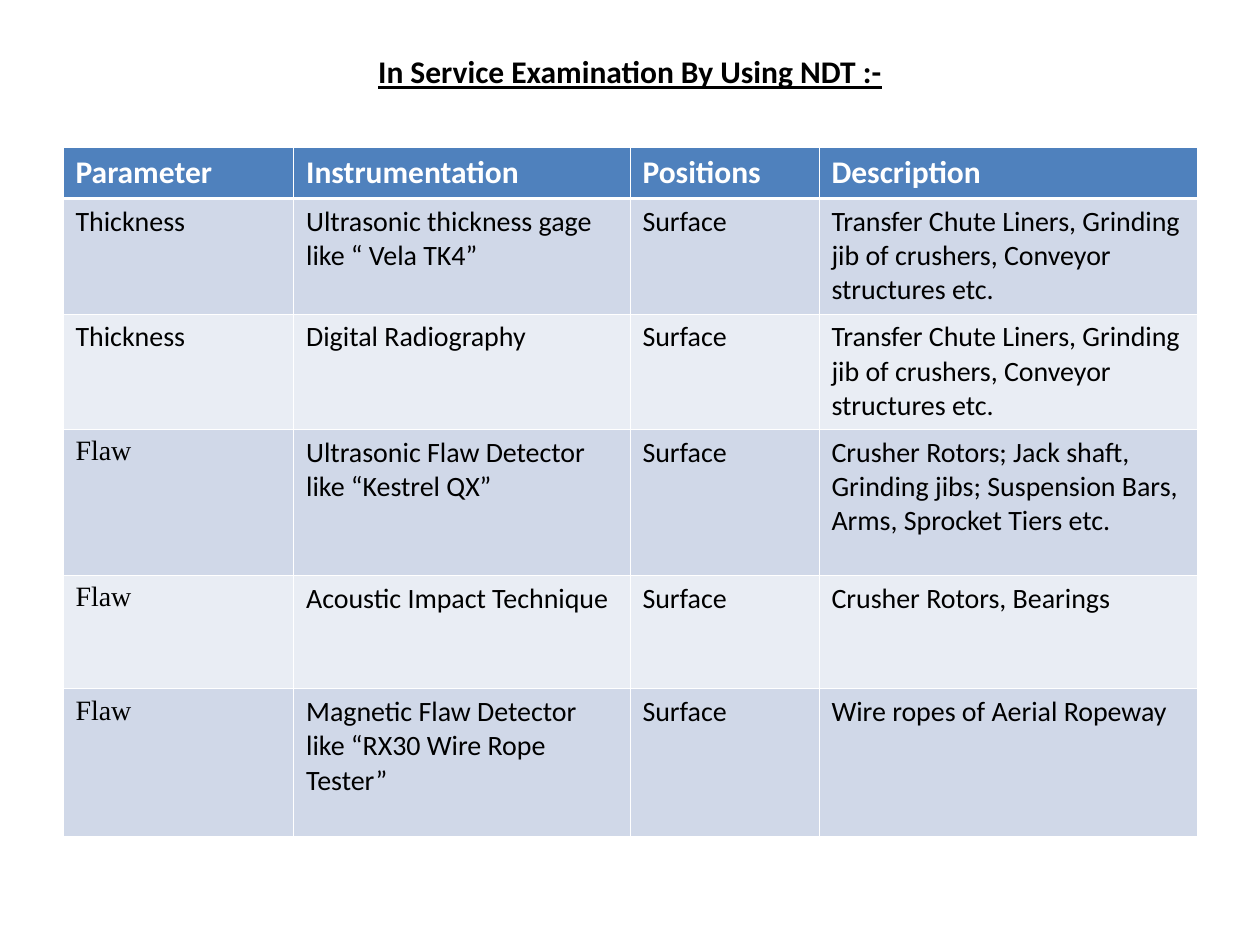
from typing import NamedTuple

from lxml.etree import SubElement
from pptx import Presentation
from pptx.dml.color import RGBColor
from pptx.enum.text import MSO_ANCHOR, PP_ALIGN
from pptx.oxml.ns import qn
from pptx.util import Inches, Pt

WHITE, BLACK, BLUE = "FFFFFF", "000000", "4F81BD"
BANDS = ("D0D8E8", "E9EDF4")
THIN, THICK = 0.45, 1.47


class Check(NamedTuple):
    param: str
    tool: str
    place: str
    detail: str
    height: float
    font: str = "Calibri"


HEADS = ("Parameter", "Instrumentation", "Positions", "Description")
WIDTHS = (1.83, 2.67, 1.5, 3)
HEAD_HEIGHT = 0.4
LINERS = "Transfer Chute Liners, Grinding jib of crushers, Conveyor structures etc."
SERIF = "Times New Roman"
CHECKS = (
    Check("Thickness", "Ultrasonic thickness gage like “ Vela TK4”",
          "Surface", LINERS, 0.91),
    Check("Thickness", "Digital Radiography", "Surface", LINERS, 0.91),
    Check("Flaw", "Ultrasonic Flaw Detector like “Kestrel QX”", "Surface",
          "Crusher Rotors; Jack shaft, Grinding jibs; Suspension Bars, "
          "Arms, Sprocket Tiers etc.", 1.16, SERIF),
    Check("Flaw", "Acoustic Impact Technique", "Surface",
          "Crusher Rotors, Bearings", 0.9, SERIF),
    Check("Flaw", "Magnetic Flaw Detector like “RX30 Wire Rope Tester”",
          "Surface", "Wire ropes of Aerial Ropeway", 1.17, SERIF),
)


def color(code: str) -> RGBColor:
    return RGBColor.from_string(code)


def style(frame, size: float, code: str, bold: bool, font: str = "Calibri") -> None:
    """Format every run of a text frame."""
    for para in frame.paragraphs:
        for run in para.runs:
            run.font.size = Pt(size)
            run.font.name = font
            run.font.bold = bold
            run.font.color.rgb = color(code)


def edge(cell, top: float, bottom: float) -> None:
    """Give a cell white borders; top and bottom widths are in points."""
    props = cell._tc.get_or_add_tcPr()
    for side, width in zip("LRTB", (THIN, THIN, top, bottom)):
        line = SubElement(props, qn(f"a:ln{side}"), w=str(int(Pt(width))))
        fill = SubElement(line, qn("a:solidFill"))
        SubElement(fill, qn("a:srgbClr"), val=WHITE)


def fill_cell(cell, text: str, back: str) -> None:
    cell.text_frame.text = text
    cell.fill.solid()
    cell.fill.fore_color.rgb = color(back)


def add_title(slide) -> None:
    title = slide.shapes.title
    title.left, title.top = Inches(0.5), Inches(0.3)
    title.width, title.height = Inches(9), Inches(0.53)
    frame = title.text_frame
    frame.text = "In Service Examination By Using NDT :-"
    frame.vertical_anchor = MSO_ANCHOR.MIDDLE
    style(frame, 18, BLACK, True)
    para = frame.paragraphs[0]
    para.alignment = PP_ALIGN.CENTER
    para.runs[0].font.underline = True


def add_checks(slide) -> None:
    heights = (HEAD_HEIGHT, *(check.height for check in CHECKS))
    table = slide.shapes.add_table(
        len(heights), len(HEADS), Inches(0.5), Inches(1.17),
        Inches(sum(WIDTHS)), Inches(sum(heights))).table
    for col, width in zip(table.columns, WIDTHS):
        col.width = Inches(width)
    for row, height in zip(table.rows, heights):
        row.height = Inches(height)

    for col, head in enumerate(HEADS):
        cell = table.cell(0, col)
        edge(cell, THIN, THICK)
        fill_cell(cell, head, BLUE)
        style(cell.text_frame, 18, WHITE, True)

    for num, check in enumerate(CHECKS):
        texts = (check.param, check.tool, check.place, check.detail)
        for col, text in enumerate(texts):
            cell = table.cell(num + 1, col)
            edge(cell, THIN if num else THICK, THIN)
            fill_cell(cell, text, BANDS[num % 2])
            font = "Calibri" if col else check.font
            style(cell.text_frame, 16, BLACK, False, font)


def main() -> None:
    deck = Presentation()
    deck.slide_width, deck.slide_height = Inches(10), Inches(7.5)
    slide = deck.slides.add_slide(deck.slide_layouts[5])
    add_title(slide)
    add_checks(slide)
    deck.save("out.pptx")


if __name__ == "__main__":
    main()
